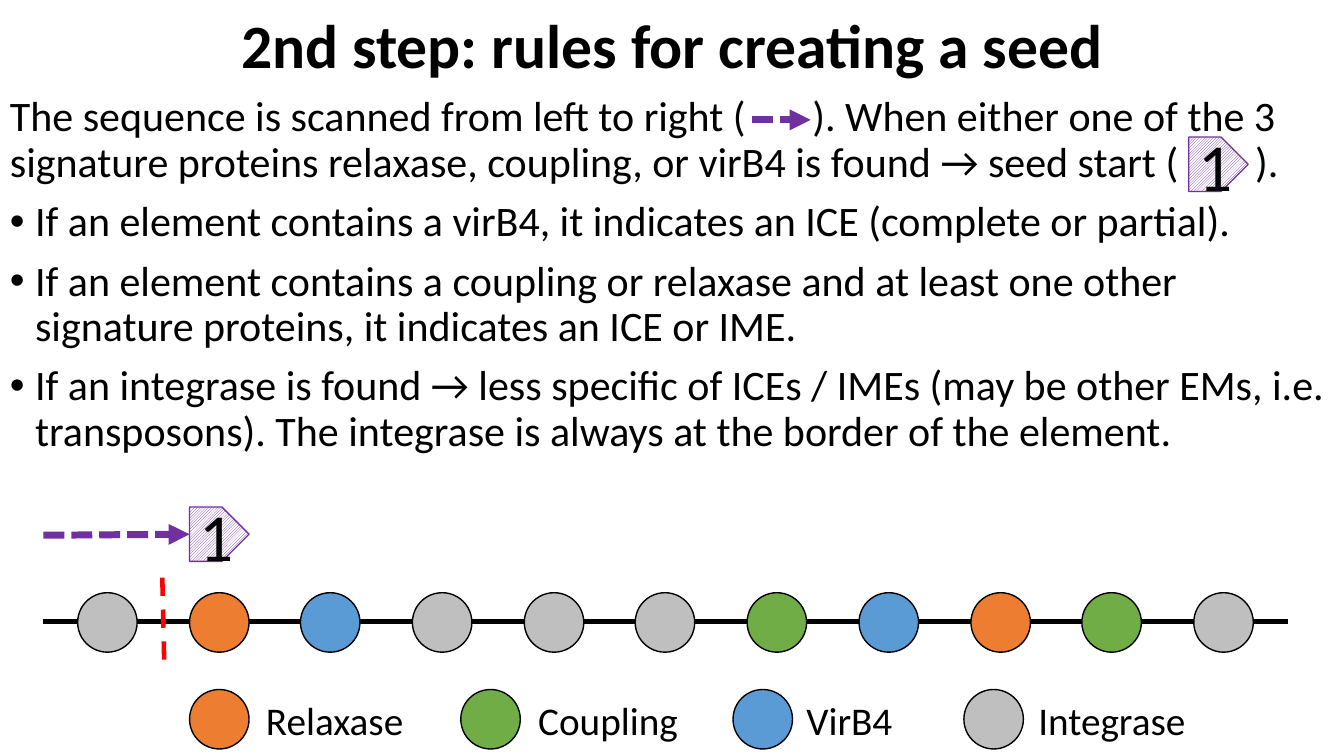
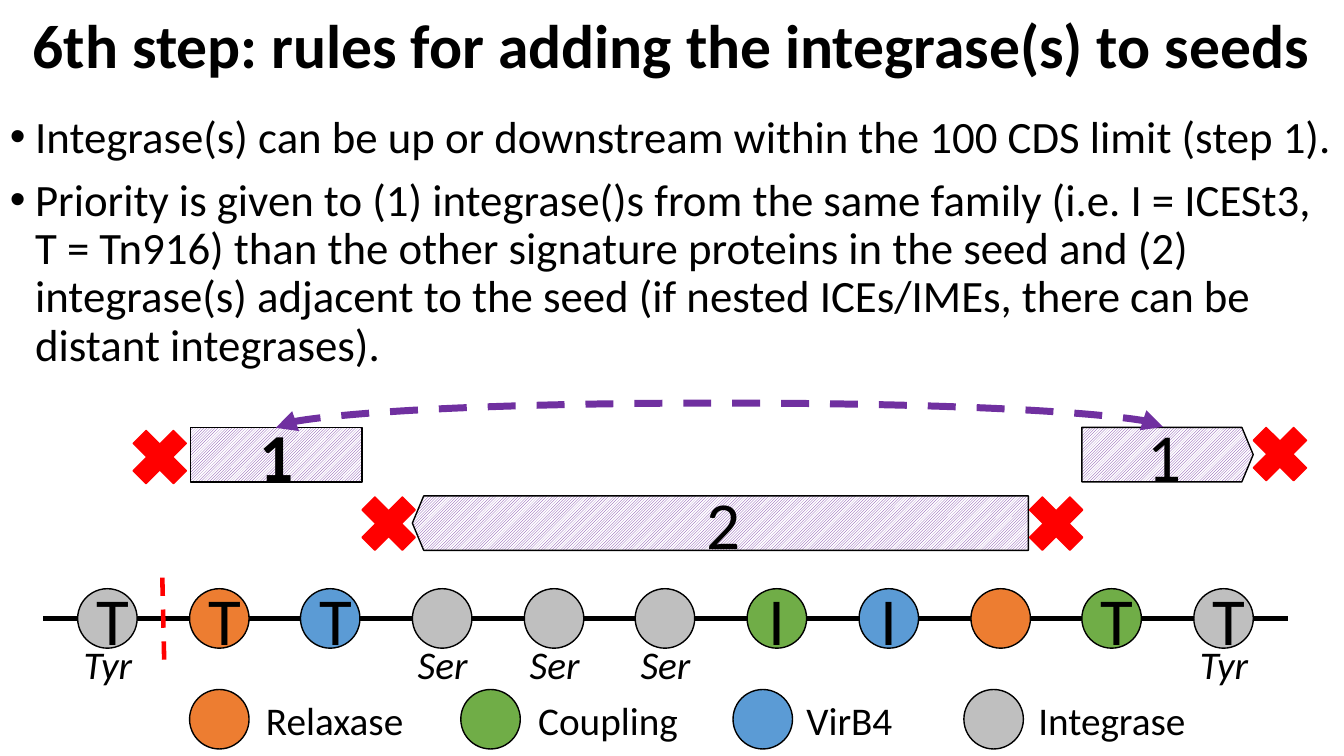
from lxml.etree import SubElement
from pptx import Presentation
from pptx.dml.color import RGBColor
from pptx.enum.dml import MSO_LINE, MSO_PATTERN
from pptx.enum.shapes import MSO_CONNECTOR as Link, MSO_SHAPE as Preset
from pptx.enum.text import MSO_ANCHOR, MSO_AUTO_SIZE, PP_ALIGN
from pptx.oxml.ns import qn
from pptx.util import Pt

EMU_PER_PX = 9144  # 100 px to the inch
FONT = "Calibri"

BLACK = RGBColor(0x00, 0x00, 0x00)
WHITE = RGBColor(0xFF, 0xFF, 0xFF)
RED = RGBColor(0xFF, 0x00, 0x00)
PURPLE = RGBColor(0x70, 0x30, 0xA0)
ORANGE = RGBColor(0xED, 0x7D, 0x31)
GREEN = RGBColor(0x70, 0xAD, 0x47)
BLUE = RGBColor(0x5B, 0x9B, 0xD5)
GRAY = RGBColor(0xBF, 0xBF, 0xBF)

GENE_SIZE = 59
GENE_LEFT = 77
GENE_PITCH = 110.7
GENE_COLORS = [GRAY, ORANGE, BLUE, GRAY, GRAY, GRAY,
               GREEN, BLUE, ORANGE, GREEN, GRAY]
MARKER_HEIGHT = 54
CROSS_SIZE = 77

# name, colour, left of circle, left of name
LEGEND = [("Relaxase", ORANGE, 188, 254), ("Coupling", GREEN, 457, 524),
          ("VirB4", BLUE, 727, 790), ("Integrase", GRAY, 956, 1020)]


def px(*lengths):
    return [round(length * EMU_PER_PX) for length in lengths]


def gene_left(index):
    return round(GENE_LEFT + index * GENE_PITCH)


class Deck:
    def __init__(self):
        self.presentation = Presentation()
        size = px(1333, 750)
        self.presentation.slide_width, self.presentation.slide_height = size
        self.slide = None

    def add_slide(self, title, left, width):
        layout = self.presentation.slide_layouts.get_by_name("Title Only")
        self.slide = self.presentation.slides.add_slide(layout)
        shape = self.slide.shapes.title
        shape.left, shape.top, shape.width, shape.height = px(left, 0, width, 96)
        frame = shape.text_frame
        frame.auto_size = MSO_AUTO_SIZE.NONE
        frame.vertical_anchor = MSO_ANCHOR.MIDDLE
        frame.text = title
        paragraph = frame.paragraphs[0]
        paragraph.alignment = PP_ALIGN.CENTER
        paragraph.line_spacing = 0.9
        self.set_font(paragraph, 44, bold=True)

    @staticmethod
    def set_font(paragraph, size, bold=False, italic=False):
        font = paragraph.font
        font.name, font.size = FONT, Pt(size)
        font.bold, font.italic = bold, italic
        font.color.rgb = BLACK

    def text(self, box, lines, size, bullets=(), tabs=(), italic=False,
             align=PP_ALIGN.LEFT):
        """Write lines; bullets holds the indexes of the bulleted ones,
        tabs the tab stops of the others."""
        frame = self.slide.shapes.add_textbox(*px(*box)).text_frame
        frame.word_wrap = True
        for index, line in enumerate(lines):
            paragraph = frame.add_paragraph() if index else frame.paragraphs[0]
            paragraph.text = line
            paragraph.alignment = align
            paragraph.line_spacing = 0.9
            if index:
                paragraph.space_before = Pt(10)
            properties = paragraph._p.get_or_add_pPr()
            if index in bullets:
                indent = px(25)[0]
                properties.set("marL", str(indent))
                properties.set("indent", str(-indent))
                SubElement(properties, qn("a:buFont"), typeface="Arial")
                SubElement(properties, qn("a:buChar"), char="•")
            elif tabs:
                stops = SubElement(properties, qn("a:tabLst"))
                for stop in px(*tabs):
                    SubElement(stops, qn("a:tab"), pos=str(stop), algn="l")
            self.set_font(paragraph, size, italic=italic)

    def shape(self, preset, box, outline, label="", bold=False):
        shape = self.slide.shapes.add_shape(preset, *px(*box))
        shape.shadow.inherit = False
        shape.line.color.rgb = outline
        shape.line.width = Pt(1)
        if label:
            shape.text_frame.text = label
            paragraph = shape.text_frame.paragraphs[0]
            paragraph.alignment = PP_ALIGN.CENTER
            self.set_font(paragraph, 48, bold)
        return shape

    def solid(self, preset, left, top, size, color, outline, label=""):
        shape = self.shape(preset, (left, top, size, size), outline, label)
        shape.fill.solid()
        shape.fill.fore_color.rgb = color

    def gene(self, left, top, color, label=""):
        self.solid(Preset.OVAL, left, top, GENE_SIZE, color, BLACK, label)

    def cross(self, left, top):
        self.solid(Preset.MATH_MULTIPLY, left, top, CROSS_SIZE, RED, RED)

    def marker(self, left, top, width, label, outline=BLACK, point=0.208,
               flipped=False, bold=False):
        """Hatched seed tag; point is the depth of its tip."""
        box = (left, top, width, MARKER_HEIGHT)
        shape = self.shape(Preset.PENTAGON, box, outline, label, bold)
        shape.adjustments[0] = point
        fill = shape.fill
        fill.patterned()
        fill.pattern = MSO_PATTERN.DARK_UPWARD_DIAGONAL
        fill.fore_color.rgb = PURPLE
        fill.back_color.rgb = WHITE
        if flipped:
            shape.element.spPr.find(qn("a:xfrm")).set("flipH", "1")

    def line(self, ends, color, width, dash=None, arrows=(), kind=Link.STRAIGHT):
        """Draw a connector; arrows lists headEnd (start) and tailEnd (end)."""
        connector = self.slide.shapes.add_connector(kind, *px(*ends))
        connector.line.color.rgb = color
        connector.line.width = Pt(width)
        if dash:
            connector.line.dash_style = dash
        properties = connector.element.spPr
        for end in arrows:
            SubElement(properties.find(qn("a:ln")), qn(f"a:{end}"), type="triangle")
        SubElement(properties, qn("a:effectLst"))
        return connector

    def scan_arrow(self, *ends):
        self.line(ends, PURPLE, 5, MSO_LINE.SQUARE_DOT, ["tailEnd"])

    def arc(self, left, right, base, rise):
        """Double arrow bowing upwards: a curved connector on its side."""
        middle, half = (left + right) // 2, (right - left) // 2
        ends = (middle, base - half, middle + 1, base + half)
        connector = self.line(ends, PURPLE, 5, MSO_LINE.DASH,
                              ["headEnd", "tailEnd"], Link.CURVE)
        properties = connector.element.spPr
        frame = properties.find(qn("a:xfrm"))
        for name, value in (("rot", "5400000"), ("flipH", "1"), ("flipV", "1")):
            frame.set(name, value)
        guides = properties.find(qn("a:prstGeom")).get_or_add_avLst()
        SubElement(guides, qn("a:gd"), name="adj1", fmla=f"val {rise * 100000}")

    def sequence(self, top, axis, labels):
        """Draw the row of genes on its axis, the limit and the legend."""
        self.line((43, axis, 1277, axis), BLACK, 3.5)
        for index, color in enumerate(GENE_COLORS):
            self.gene(gene_left(index), top, color, labels.get(index, ""))
        self.line((161, 573, 163, 662), RED, 3.25, MSO_LINE.DASH)
        for name, color, circle_left, name_left in LEGEND:
            self.gene(circle_left, 684, color)
            self.text((name_left, 691, 186, 59), [name], 28)


def seed_slide(deck):
    deck.add_slide("2nd step: rules for creating a seed", 92, 1150)
    deck.text((0, 90, 1333, 402), [
        "The sequence is scanned from left to right (\t). When either one of "
        "the 3 signature proteins relaxase, coupling, or virB4 is found → seed "
        "start (\t).",
        "If an element contains a virB4, it indicates an ICE (complete or "
        "partial).",
        "If an element contains a coupling or relaxase and at least one other "
        "signature proteins, it indicates an ICE or IME.",
        "If an integrase is found → less specific of ICEs / IMEs (may be other "
        "EMs, i.e. transposons). The integrase is always at the border of the "
        "element.",
    ], 30, bullets=(1, 2, 3), tabs=(796, 1235))
    deck.sequence(588, 617, {})
    deck.scan_arrow(43, 531, 188, 530)
    deck.scan_arrow(746, 119, 804, 119)
    for left, top in ((188, 503), (1179, 136)):
        deck.marker(left, top, GENE_SIZE, "1", PURPLE, point=0.5)


def integrase_slide(deck):
    deck.add_slide("6th step: rules for adding the integrase(s) to seeds", 0, 1333)
    deck.text((0, 109, 1333, 279), [
        "Integrase(s) can be up or downstream within the 100 CDS limit (step 1).",
        "Priority is given to (1) integrase()s from the same family (i.e. "
        "I = ICESt3, T = Tn916) than the other signature proteins in the seed "
        "and (2) integrase(s) adjacent to the seed (if nested ICEs/IMEs, there "
        "can be distant integrases).",
    ], 32, bullets=(0, 1))
    deck.sequence(584, 614, {0: "T", 1: "T", 2: "T", 6: "I", 7: "I",
                             9: "T", 10: "T"})
    families = {0: "Tyr", 3: "Ser", 4: "Ser", 5: "Ser", 10: "Tyr"}
    for index, family in families.items():
        deck.text((gene_left(index) - 10, 636, 80, 62), [family], 28,
                  italic=True, align=PP_ALIGN.CENTER)
    deck.marker(189, 424, 170, "1", point=0, bold=True)
    deck.marker(409, 492, 611, "2", flipped=True)
    deck.marker(1073, 424, 170, "1")
    deck.arc(273, 1153, 424, rise=25)
    for left, top in ((120, 415), (347, 481), (1231, 412), (1009, 481)):
        deck.cross(left, top)


def main():
    deck = Deck()
    seed_slide(deck)
    integrase_slide(deck)
    deck.presentation.save("out.pptx")


if __name__ == "__main__":
    main()
